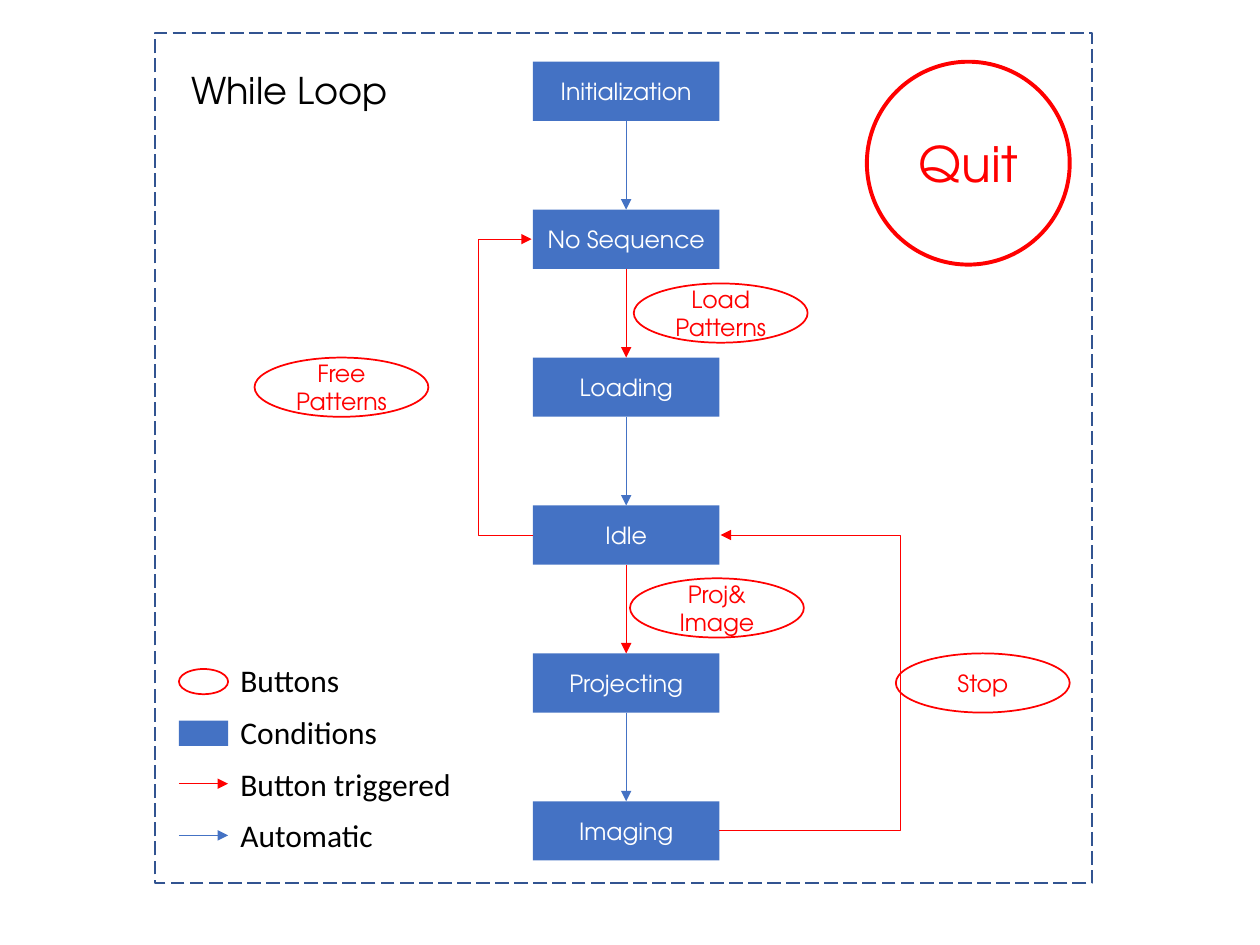
from lxml import etree
from pptx import Presentation
from pptx.dml.color import RGBColor
from pptx.enum.dml import MSO_LINE
from pptx.enum.shapes import MSO_CONNECTOR, MSO_SHAPE
from pptx.enum.text import MSO_ANCHOR, PP_ALIGN
from pptx.oxml.ns import qn
from pptx.util import Inches, Pt

THEME = {
    "blue": RGBColor(0x44, 0x72, 0xC4), "navy": RGBColor(0x32, 0x54, 0x91),
    "red": RGBColor(0xFF, 0, 0), "white": RGBColor(0xFF, 0xFF, 0xFF),
    "black": RGBColor(0, 0, 0),
    "diagram_font": "TeX Gyre Adventor", "legend_font": "Calibri",
    "label": 13.5, "title": 21, "quit": 28, "legend": 18,
    "thin": 0.5, "outline": 1, "thick": 2.25,
}

deck = Presentation()
deck.slide_width, deck.slide_height = Inches(10), Inches(7.5)
page = deck.slides.add_slide(deck.slide_layouts[6])


def add_box(kind, place, text="", fill=None, line=None, width="outline",
            size="label", color="white", font="diagram_font"):
    """Add a preset shape, or a left-aligned text box when kind is None."""
    lengths = [Inches(value) for value in place]
    if kind is None:
        box = page.shapes.add_textbox(*lengths)
    else:
        box = page.shapes.add_shape(kind, *lengths)
        box.shadow.inherit = False
        if fill:
            box.fill.solid()
            box.fill.fore_color.rgb = THEME[fill]
        else:
            box.fill.background()
        if line:
            box.line.color.rgb = THEME[line]
            box.line.width = Pt(THEME[width])
        else:
            box.line.fill.background()
    if text:
        frame = box.text_frame
        frame.word_wrap = True
        frame.vertical_anchor = MSO_ANCHOR.MIDDLE if kind else MSO_ANCHOR.TOP
        para = frame.paragraphs[0]
        para.alignment = PP_ALIGN.CENTER if kind else PP_ALIGN.LEFT
        span = para.add_run()
        span.text = text
        span.font.color.rgb = THEME[color]
        formats = {"name": THEME[font], "size": Pt(THEME[size])}
        for name, value in formats.items():
            setattr(span.font, name, value)
    return box


def add_arrow(start, end, color, bend=None):
    """Add an arrow; bend is the elbow position as a multiple of its width."""
    kind = MSO_CONNECTOR.STRAIGHT if bend is None else MSO_CONNECTOR.ELBOW
    arrow = page.shapes.add_connector(
        kind, *[Inches(value) for value in (*start, *end)])
    arrow.line.color.rgb = THEME[color]
    arrow.line.width = Pt(THEME["thin"])
    properties = arrow.element.spPr
    etree.SubElement(properties.find(qn("a:ln")), qn("a:tailEnd"), type="triangle")
    etree.SubElement(properties, qn("a:effectLst"))
    if bend is not None:
        guides = properties.find(qn("a:prstGeom")).get_or_add_avLst()
        etree.SubElement(guides, qn("a:gd"), name="adj1",
                         fmla=f"val {round(bend * 100000)}")


# States and the arrows between them
STATE_LEFT, STATE_WIDTH, STATE_HEIGHT = 4.23, 1.48, 0.47
STATE_TOP, LAST_STATE_TOP = 0.49, 6.36
states = ["Initialization", "No Sequence", "Loading", "Idle", "Projecting", "Imaging"]
arrow_colors = ["blue", "red", "blue", "red", "blue"]
step = (LAST_STATE_TOP - STATE_TOP) / (len(states) - 1)
tops = [STATE_TOP + step * index for index in range(len(states))]
middles = dict(zip(states, [top + STATE_HEIGHT / 2 for top in tops]))
state_right = STATE_LEFT + STATE_WIDTH
center = STATE_LEFT + STATE_WIDTH / 2

for state, top in zip(states, tops):
    add_box(MSO_SHAPE.RECTANGLE, (STATE_LEFT, top, STATE_WIDTH, STATE_HEIGHT),
            state, fill="blue")
for color, top, next_top in zip(arrow_colors, tops, tops[1:]):
    add_arrow((center, top + STATE_HEIGHT), (center, next_top), color)

# Return paths: the ends are 0.01 apart so that the bend has a width to scale
SLIVER = 0.01
add_arrow((STATE_LEFT, middles["Idle"]),
          (STATE_LEFT - SLIVER, middles["No Sequence"]), "red", 0.44 / SLIVER)
add_arrow((state_right, middles["Imaging"]),
          (state_right + SLIVER, middles["Idle"]), "red", 1.46 / SLIVER)

# Buttons
buttons = [("Free Patterns", 2.02, tops[2]), ("Load Patterns", 5.03, 2.25),
           ("Stop", 7.11, tops[4]), ("Proj& Image", 5, 4.59)]
for text, left, top in buttons:
    add_box(MSO_SHAPE.OVAL, (left, top, 1.38, STATE_HEIGHT), text,
            line="red", color="red")
add_box(MSO_SHAPE.OVAL, (6.88, STATE_TOP, 1.61, 1.61), "Quit",
        line="red", width="thick", size="quit", color="red")

# Title and legend
add_box(None, (1.42, STATE_TOP, 1.86, 0.45), "While Loop", size="title", color="black")
LEGEND_LEFT, KEY_WIDTH, KEY_HEIGHT = 1.42, 0.39, 0.2
legend = [("Buttons", MSO_SHAPE.OVAL, {"line": "red"}),
          ("Conditions", MSO_SHAPE.RECTANGLE, {"fill": "blue"}),
          ("Button triggered", None, "red"),
          ("Automatic", None, "blue")]
for index, (text, kind, style) in enumerate(legend):
    top = 5.2 + 0.41 * index
    if kind:
        add_box(kind, (LEGEND_LEFT, top + 0.11, KEY_WIDTH, KEY_HEIGHT), **style)
    else:
        add_arrow((LEGEND_LEFT, top + 0.2), (LEGEND_LEFT + KEY_WIDTH, top + 0.2), style)
    add_box(None, (LEGEND_LEFT + KEY_WIDTH, top, 1.9, 0.4), text,
            size="legend", color="black", font="legend_font")

loop_frame = add_box(MSO_SHAPE.RECTANGLE, (1.23, 0.26, 7.44, 6.75), line="navy")
loop_frame.line.dash_style = MSO_LINE.LONG_DASH

deck.save("out.pptx")
